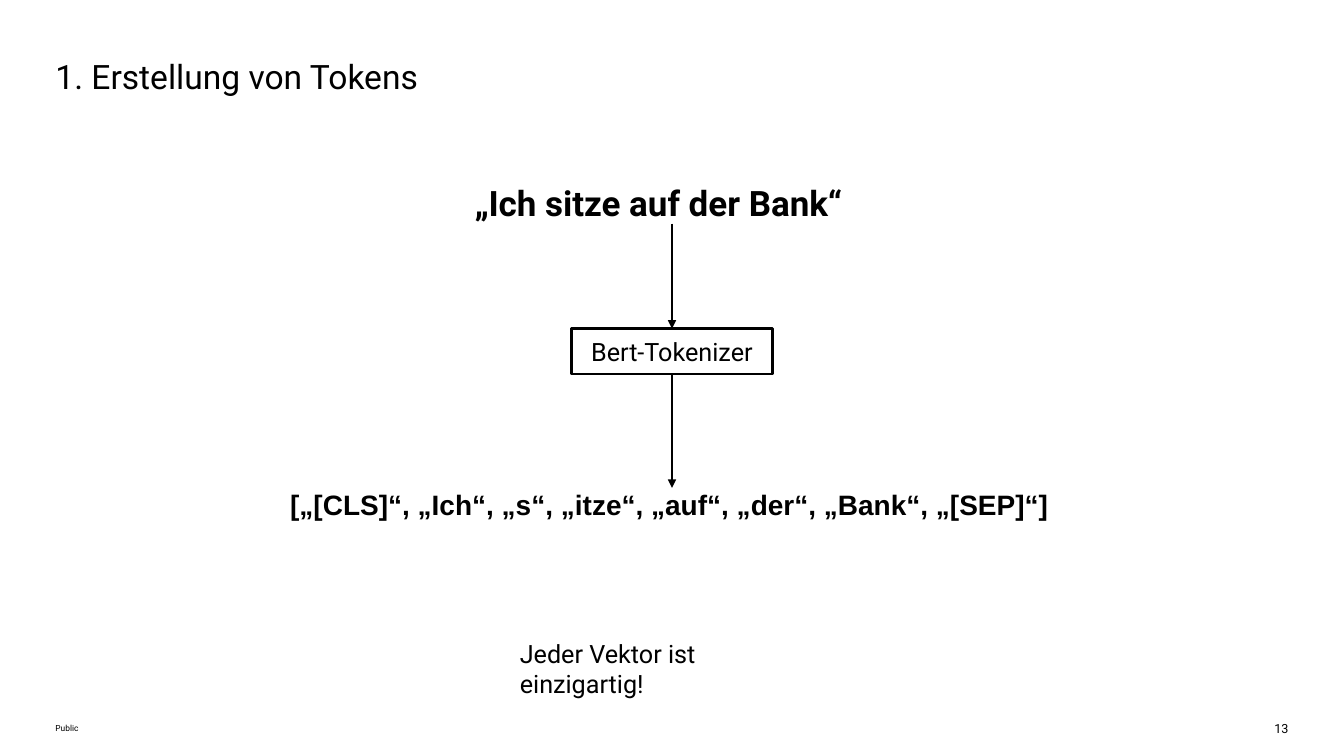
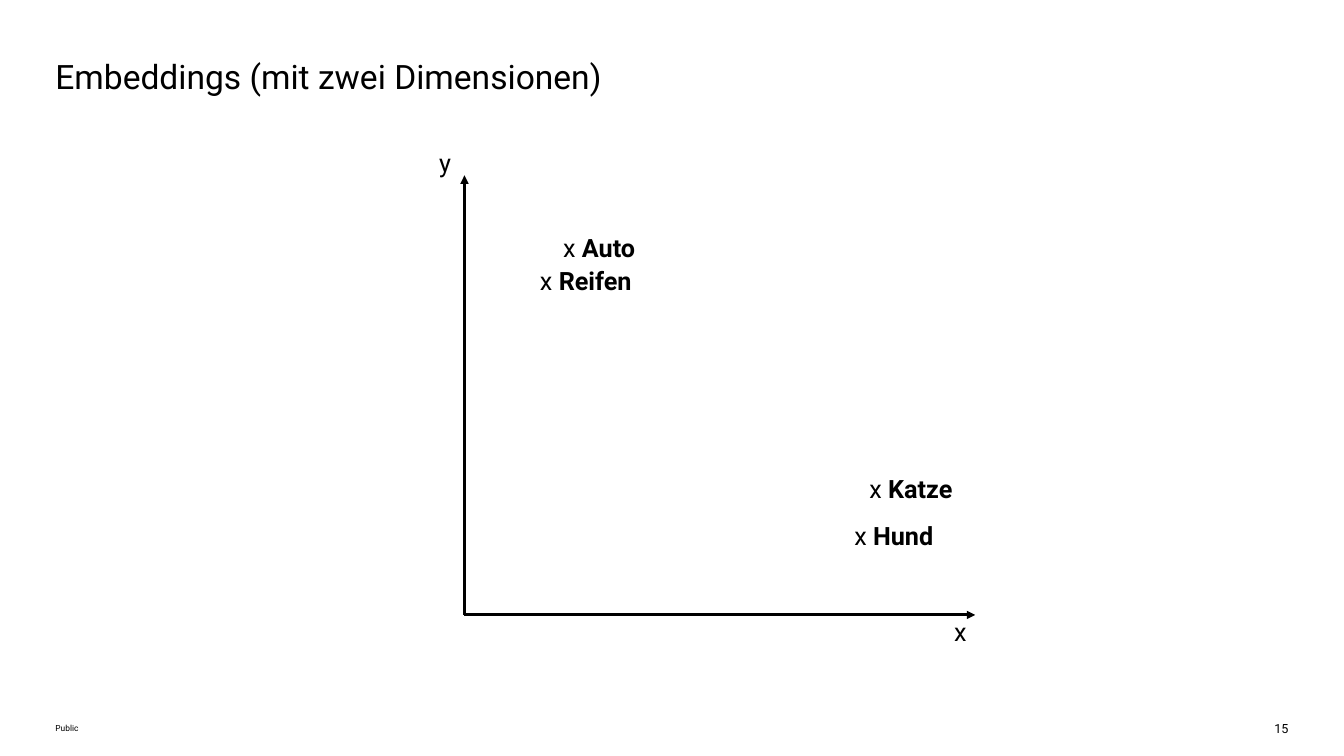
"""Build two slides on BERT tokens and two-dimensional embeddings."""
from lxml.etree import SubElement
from pptx import Presentation
from pptx.dml.color import RGBColor
from pptx.enum.shapes import MSO_CONNECTOR as Connector, MSO_SHAPE as Shape
from pptx.enum.text import MSO_ANCHOR as Anchor, MSO_AUTO_SIZE as AutoSize, PP_ALIGN as Align
from pptx.oxml.ns import qn
from pptx.util import Pt

PX = 9144
COLORS = {"ink": "000000", "paper": "FFFFFF"}
FONT = "Roboto"
SIZE = (1334, 750)
MARGIN = 55
LINE_WIDTH = 2

FOOTER = "Public"
TOKENS = {
    "title": "1. Erstellung von Tokens",
    "number": "13",
    "sentence": "„Ich sitze auf der Bank“",
    "step": "Bert-Tokenizer",
    "result": "[„[CLS]“, „Ich“, „s“, „itze“, „auf“, „der“, „Bank“, „[SEP]“]",
    "note": "Jeder Vektor ist einzigartig!",
}
EMBEDDINGS = {
    "title": "Embeddings (mit zwei Dimensionen)",
    "number": "15",
    "origin": (461, 610),
    "axes": [
        ("y", (461, 174), (436, 146, 12, 30)),
        ("x", (968, 610), (947, 611, 13, 33)),
    ],
    "words": [
        ("Auto", (559, 230, 77, 30)),
        ("Reifen", (536, 263, 98, 30)),
        ("Katze", (863, 470, 88, 30)),
        ("Hund", (848, 516, 85, 30)),
    ],
}


def px(values):
    return [round(value * PX) for value in values]


def color(name):
    return RGBColor.from_string(COLORS[name])


def write(shape, runs, size, font=FONT, bold=False, align=Align.LEFT,
          anchor=Anchor.TOP, wrap=False):
    frame = shape.text_frame
    frame.auto_size = AutoSize.NONE
    frame.word_wrap = wrap
    frame.vertical_anchor = anchor
    frame.margin_left = frame.margin_right = frame.margin_top = frame.margin_bottom = 0
    para = frame.paragraphs[0]
    para.alignment = align
    para.font.name, para.font.size, para.font.bold = font, Pt(size), bold
    para.font.color.rgb = color("ink")
    for text, strong in runs:
        span = para.add_run()
        span.text = text
        if strong:
            span.font.bold = True


def add_text(page, text, place, size=18, **style):
    runs = [(text, False)] if isinstance(text, str) else text
    write(page.shapes.add_textbox(*px(place)), runs, size, **style)


def add_arrow(page, start, end):
    arrow = page.shapes.add_connector(Connector.STRAIGHT, *px(start + end))
    arrow.line.color.rgb = color("ink")
    arrow.line.width = Pt(LINE_WIDTH)
    SubElement(arrow.line._get_or_add_ln(), qn("a:tailEnd"), type="triangle")
    SubElement(arrow._element.spPr, qn("a:effectLst"))
    return arrow


def add_page(deck, content):
    page = deck.slides.add_slide(deck.slide_layouts[5])
    page.background.fill.solid()
    page.background.fill.fore_color.rgb = color("paper")
    title = page.shapes.title
    title.left, title.top, title.width, title.height = px((MARGIN, 55, 1223, 40))
    write(title, [(content["title"], False)], 24, wrap=True)
    add_text(page, FOOTER, (MARGIN, 715, 1111, 15), 6, anchor=Anchor.MIDDLE, wrap=True)
    add_text(page, content["number"], (1263, 715, 16, 15), 9, align=Align.RIGHT)
    return page


def add_tokens(deck):
    page = add_page(deck, TOKENS)
    add_text(page, TOKENS["sentence"], (471, 180, 391, 42), 25, bold=True)
    add_text(page, TOKENS["result"], (288, 484, 758, 34), 20, font="Arial", bold=True)
    left, top, width, height = 567, 326, 200, 45
    box = page.shapes.add_shape(Shape.RECTANGLE, *px((left, top, width, height)))
    box.shadow.inherit = False
    box.fill.background()
    box.line.color.rgb = color("ink")
    box.line.width = Pt(LINE_WIDTH)
    write(box, [(TOKENS["step"], False)], 18, align=Align.CENTER, anchor=Anchor.MIDDLE)
    center, bottom = left + width // 2, top + height
    add_arrow(page, (center, 222), (center, top)).end_connect(box, 0)
    add_arrow(page, (center, bottom), (center, 484)).begin_connect(box, 2)
    add_text(page, TOKENS["note"], (516, 633, 280, 60), wrap=True)


def add_embeddings(deck):
    page = add_page(deck, EMBEDDINGS)
    for label, tip, place in EMBEDDINGS["axes"]:
        add_arrow(page, EMBEDDINGS["origin"], tip)
        add_text(page, label, place)
    for word, place in EMBEDDINGS["words"]:
        add_text(page, [("x ", False), (word, True)], place)


def main():
    deck = Presentation()
    deck.slide_width, deck.slide_height = px(SIZE)
    add_tokens(deck)
    add_embeddings(deck)
    deck.save("out.pptx")


if __name__ == "__main__":
    main()
